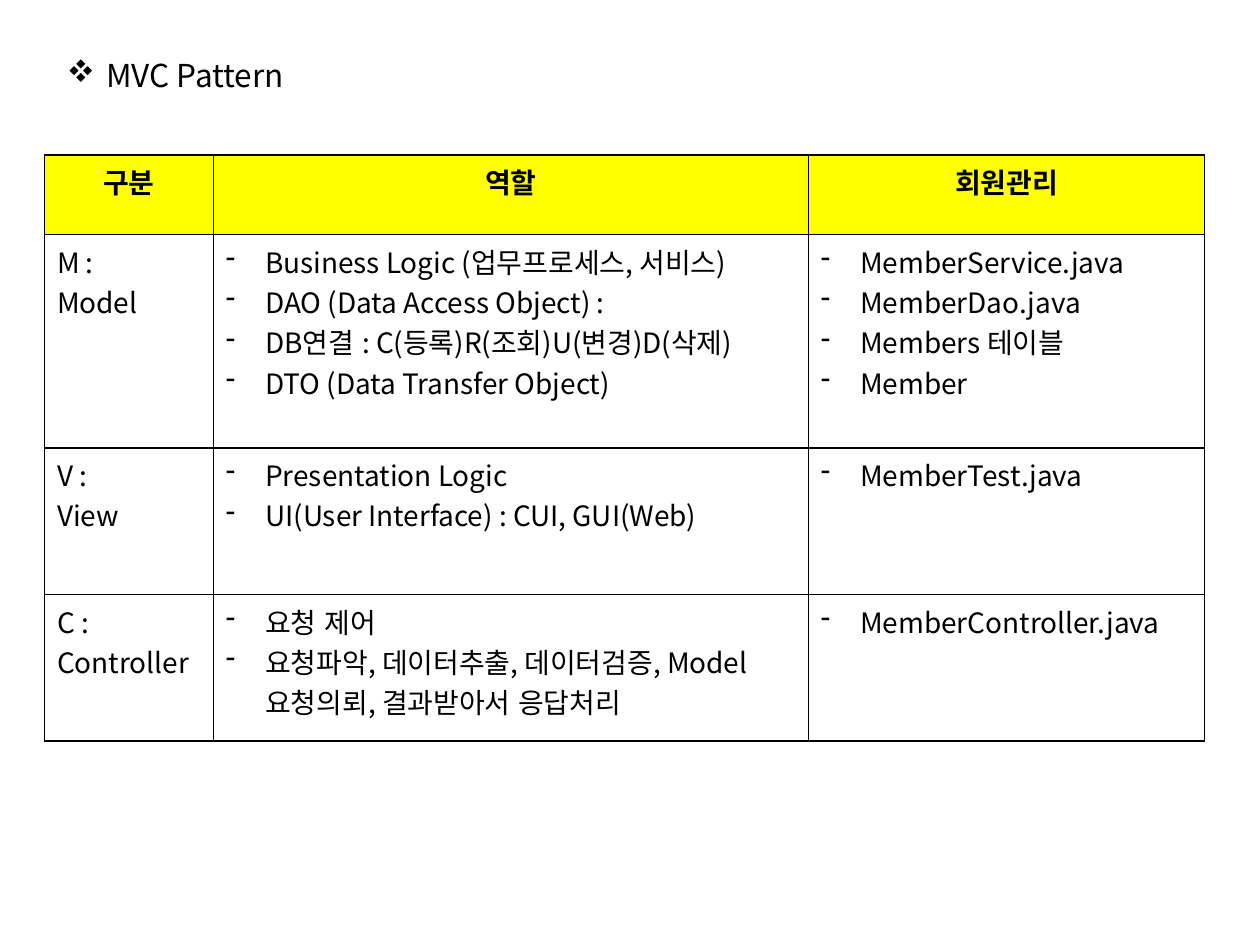
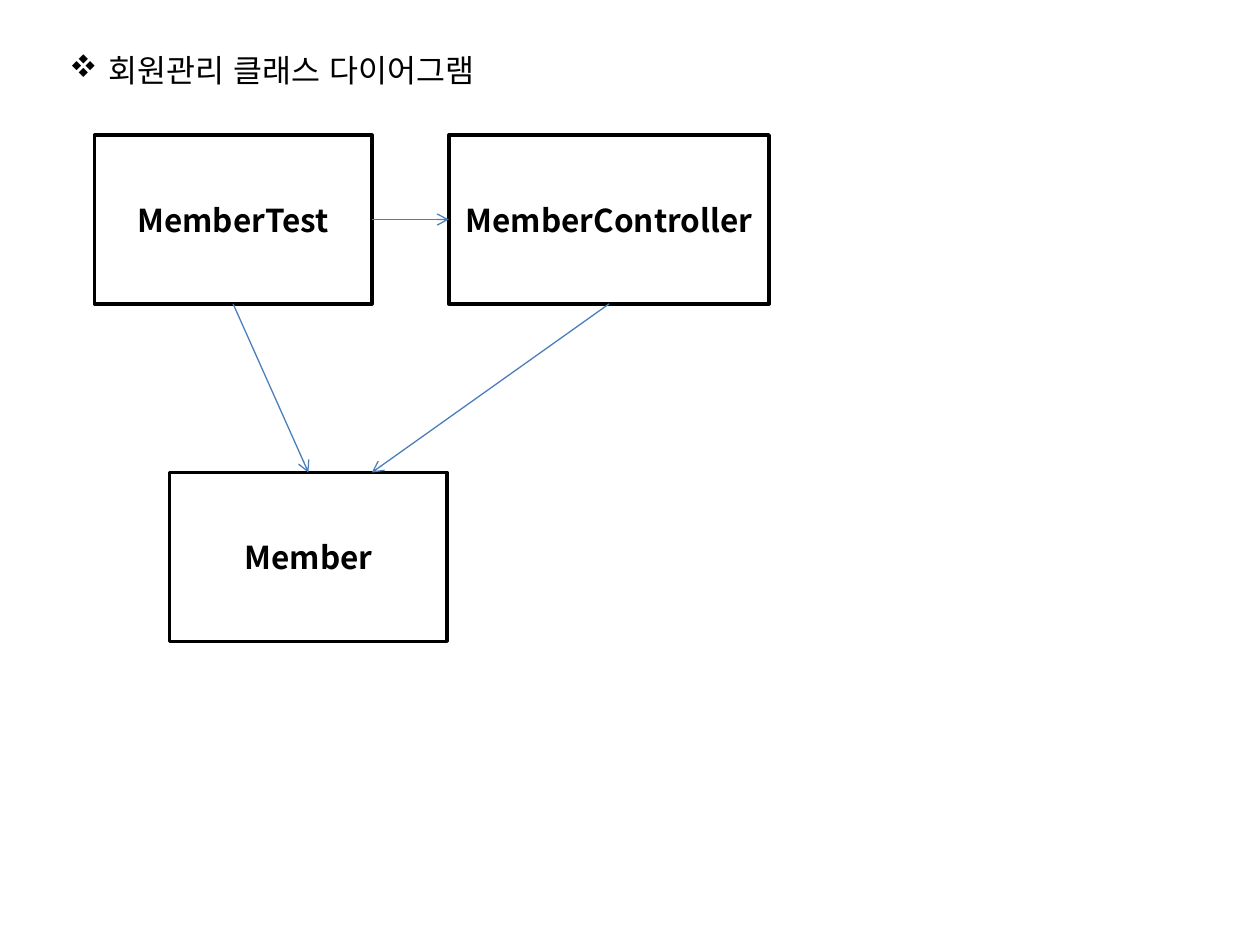
import dataclasses

import lxml.etree
import pptx
import pptx.dml.color
import pptx.enum.lang
import pptx.enum.shapes
import pptx.enum.text
import pptx.oxml
import pptx.oxml.ns
import pptx.util

Pt = pptx.util.Pt
RGB = pptx.dml.color.RGBColor
ALIGN = pptx.enum.text.PP_ALIGN
ANCHOR = pptx.enum.text.MSO_ANCHOR
qn = pptx.oxml.ns.qn
TOP, LEFT, BOTTOM, RIGHT = range(4)


@dataclasses.dataclass(frozen=True)
class Theme:
    """Colours, type sizes and measures shared by the slides."""
    font: str = "Noto Sans CJK KR"
    ink: RGB = RGB(0, 0, 0)
    header: RGB = RGB(0xFF, 0xFF, 0)
    arrow: RGB = RGB(0x4B, 0x7E, 0xBC)
    title_size: float = 18
    table_size: float = 16
    hanging: float = 22.5
    box_height: float = 96.5


THEME = Theme()

HEADINGS = ["구분", "역할", "회원관리"]
LAYERS = [
    (["M : ", "Model"],
     ["Business Logic (업무프로세스, 서비스)", "DAO (Data Access Object) : ",
      "DB연결 : C(등록)R(조회)U(변경)D(삭제)", "DTO (Data Transfer Object)"],
     ["MemberService.java", "MemberDao.java", "Members 테이블 ", "Member"]),
    (["V : ", "View"],
     ["Presentation Logic", "UI(User Interface) : CUI, GUI(Web)"],
     ["MemberTest.java"]),
    (["C : ", "Controller"],
     ["요청 제어", "요청파악, 데이터추출, 데이터검증, Model 요청의뢰, 결과받아서 응답처리"],
     ["MemberController.java"]),
]


def style_text(frame, size, bold=False, align=ALIGN.LEFT):
    """Give every run of a text frame the theme font."""
    for paragraph in frame.paragraphs:
        paragraph.alignment = align
        for run in paragraph.runs:
            font = run.font
            font.size, font.bold, font.name = Pt(size), bold, THEME.font
            font.color.rgb = THEME.ink
            font.language_id = pptx.enum.lang.MSO_LANGUAGE_ID.KOREAN
            east_asian = lxml.etree.SubElement(run._r.get_or_add_rPr(), qn("a:ea"))
            east_asian.set("typeface", THEME.font)


def add_bullet(paragraph, mark, mark_font=None):
    """Put a hanging bullet mark, in its own font or that of the text, on a paragraph."""
    properties = paragraph._p.get_or_add_pPr()
    properties.set("marL", str(Pt(THEME.hanging)))
    properties.set("indent", str(-Pt(THEME.hanging)))
    if mark_font:
        lxml.etree.SubElement(properties, qn("a:buFont")).set("typeface", mark_font)
    else:
        lxml.etree.SubElement(properties, qn("a:buFontTx"))
    lxml.etree.SubElement(properties, qn("a:buChar")).set("char", mark)


def add_titled_slide(deck, title, left, top, width):
    """Add a slide with a bulleted title."""
    slide = deck.slides.add_slide(deck.slide_layouts[5])
    heading = slide.shapes.title
    heading.left, heading.top, heading.width, heading.height = map(Pt, (left, top, width, 29))
    frame = heading.text_frame
    frame.text = title
    frame.word_wrap = False
    frame.auto_size = pptx.enum.text.MSO_AUTO_SIZE.SHAPE_TO_FIT_TEXT
    frame.vertical_anchor = ANCHOR.TOP
    style_text(frame, THEME.title_size)
    add_bullet(frame.paragraphs[0], "v", "Wingdings")
    return slide


def outline_cell(cell):
    """Draw a thin line on all four sides of a cell."""
    properties = cell._tc.get_or_add_tcPr()
    for position, side in enumerate(("lnL", "lnR", "lnT", "lnB")):
        properties.insert(position, pptx.oxml.parse_xml(
            f'<a:{side} {pptx.oxml.ns.nsdecls("a")} w="{Pt(1)}"><a:solidFill>'
            f'<a:srgbClr val="{THEME.ink}"/></a:solidFill></a:{side}>'))


def fill_cell(cell, lines, header=False, bulleted=False):
    """Write and format the lines of one table cell."""
    frame = cell.text_frame
    frame.text = "\n".join(lines)
    style_text(frame, THEME.table_size, header, ALIGN.CENTER if header else ALIGN.LEFT)
    if bulleted:
        for paragraph in frame.paragraphs:
            add_bullet(paragraph, "-")
    if header:
        cell.fill.solid()
        cell.fill.fore_color.rgb = THEME.header
    else:
        cell.fill.background()
    outline_cell(cell)


def add_pattern_table(slide):
    """Add the table of MVC layers, roles and classes."""
    widths, heights = (96.5, 340, 226.5), (45.5, 122, 83.7, 83.7)
    table = slide.shapes.add_table(
        len(heights), len(widths), Pt(25.4), Pt(88.5), Pt(sum(widths)), Pt(sum(heights))).table
    table.first_row = table.horz_banding = False
    for column, width in zip(table.columns, widths):
        column.width = Pt(width)
    for row, height in zip(table.rows, heights):
        row.height = Pt(height)
    for column, heading in enumerate(HEADINGS):
        fill_cell(table.cell(0, column), [heading], header=True)
    for row, layer in enumerate(LAYERS, 1):
        for column, lines in enumerate(layer):
            fill_cell(table.cell(row, column), lines, bulleted=column > 0)


def add_class_box(slide, name, left, top, width=158.5):
    """Add an outlined box for one class."""
    box = slide.shapes.add_shape(pptx.enum.shapes.MSO_SHAPE.RECTANGLE,
                                 Pt(left), Pt(top), Pt(width), Pt(THEME.box_height))
    box.shadow.inherit = False
    box.fill.background()
    box.line.color.rgb = THEME.ink
    box.line.width = Pt(2)
    box.text_frame.text = name
    box.text_frame.vertical_anchor = ANCHOR.MIDDLE
    style_text(box.text_frame, THEME.title_size, True, ALIGN.CENTER)
    return box


def add_arrow(slide, source, source_side, end_x, end_y):
    """Draw an arrow from a side of a class box to a point."""
    arrow = slide.shapes.add_connector(
        pptx.enum.shapes.MSO_CONNECTOR.STRAIGHT, 0, 0, end_x, end_y)
    arrow.begin_connect(source, source_side)
    arrow.line.color.rgb = THEME.arrow
    arrow.line.width = Pt(0.75)
    lxml.etree.SubElement(arrow.line._get_or_add_ln(), qn("a:tailEnd")).set("type", "arrow")
    lxml.etree.SubElement(arrow._element.spPr, qn("a:effectLst"))
    return arrow


def add_class_diagram(slide):
    """Add the member classes and their dependencies."""
    member = add_class_box(slide, "Member", 97, 270)
    test = add_class_box(slide, "MemberTest", 54, 77.2)
    controller = add_class_box(slide, "MemberController", 256.5, 77.2, 183)
    add_arrow(slide, test, RIGHT, controller.left, controller.top).end_connect(controller, LEFT)
    add_arrow(slide, test, BOTTOM, member.left, member.top).end_connect(member, TOP)
    add_arrow(slide, controller, BOTTOM, test.left + test.width, member.top)


def main():
    """Build and save the two slides."""
    deck = pptx.Presentation()
    deck.slide_width, deck.slide_height = Pt(720), Pt(540)
    add_pattern_table(add_titled_slide(deck, "MVC Pattern", 31, 28.5, 141))
    add_class_diagram(add_titled_slide(deck, "회원관리 클래스 다이어그램", 32.5, 25.5, 268.5))
    deck.save("out.pptx")


main()
